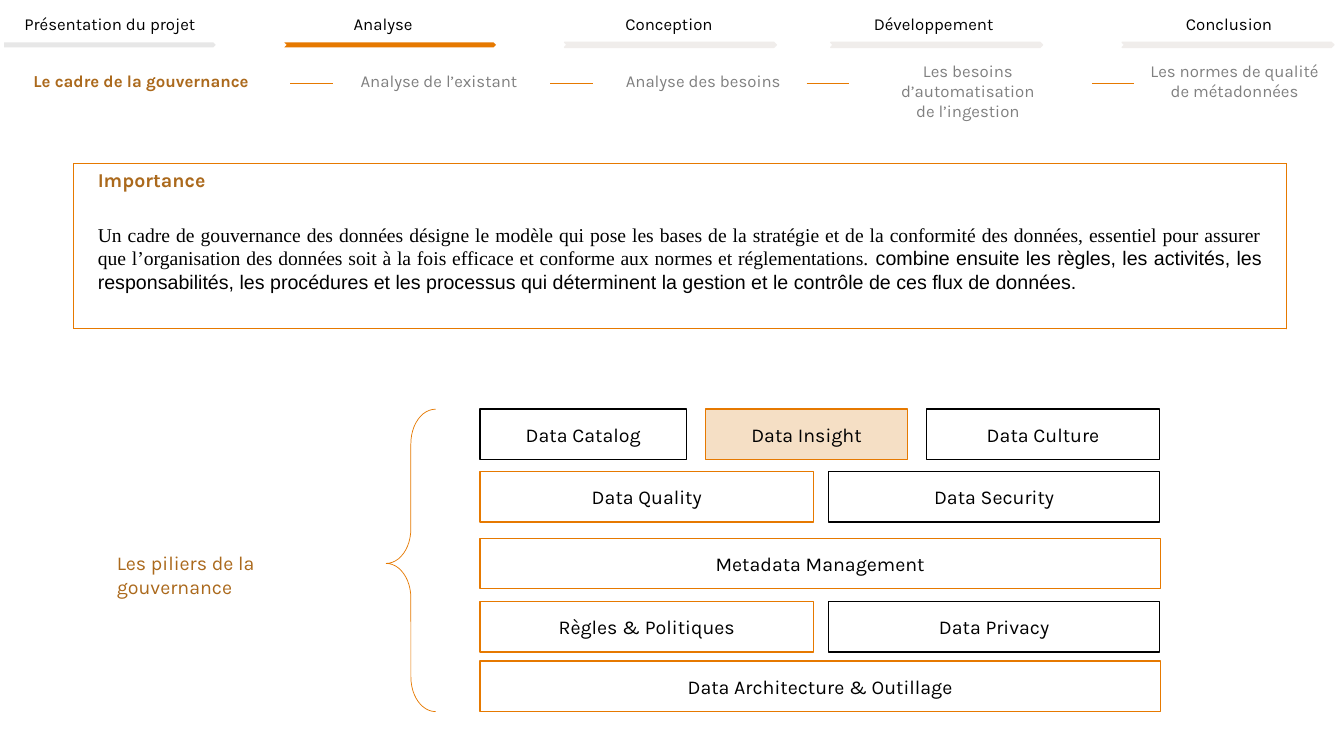
from dataclasses import dataclass

from lxml.etree import SubElement
from pptx import Presentation
from pptx.dml.color import RGBColor
from pptx.enum.dml import MSO_LINE
from pptx.enum.shapes import MSO_CONNECTOR, MSO_SHAPE
from pptx.enum.text import MSO_ANCHOR, MSO_AUTO_SIZE, PP_ALIGN
from pptx.oxml.ns import qn
from pptx.util import Inches, Pt


@dataclass(frozen=True)
class Theme:
    accent: str = "E67900"
    brown: str = "AB691C"
    tint: str = "F5DFC5"
    black: str = "000000"
    white: str = "FFFFFF"
    grey: str = "808080"
    past: str = "E7E7E7"
    coming: str = "F0EDEB"
    font: str = "Karla"
    small: int = 12
    normal: int = 14


THEME = Theme()

# label, label left, label width, bar left, bar shape, bar fill, bar line
TABS = [
    ("Présentation du projet", 0.1, 1.98, 0.04, MSO_SHAPE.PENTAGON, THEME.past, None),
    ("Analyse", 2.81, 1.98, 2.82, MSO_SHAPE.CHEVRON, THEME.accent, None),
    ("Conception", 5.39, 2.49, 5.6, MSO_SHAPE.CHEVRON, THEME.coming, THEME.coming),
    ("Développement", 8.3, 1.92, 8.24, MSO_SHAPE.CHEVRON, THEME.coming, THEME.coming),
    ("Conclusion", 11.2, 1.98, 11.13, MSO_SHAPE.CHEVRON, THEME.coming, THEME.coming),
]

# one-line steps: label, left, width; the first is the current one
STEPS = [
    ("Le cadre de la gouvernance", 0.1, 2.6),
    ("Analyse de l’existant", 3.16, 2.39),
    ("Analyse des besoins", 6, 1.95),
]
TALL_STEPS = [
    (["Les besoins d’automatisation", "de l’ingestion"], 8.41, 2.38),
    (["Les normes de qualité", "de métadonnées"], 11.25, 1.99),
]
STEP_LINKS = [2.88, 5.46, 8, 10.83]

IMPORTANCE = [
    ("Un cadre de gouvernance des données désigne le modèle qui pose les bases de la "
     "stratégie et de la conformité des données, essentiel pour assurer que "
     "l’organisation des données soit à la fois efficace et conforme aux normes et "
     "réglementations. ", "Times New Roman"),
    ("combine ensuite les règles, les activités, les responsabilités, les procédures "
     "et les processus qui déterminent la gestion et le contrôle de ces flux de "
     "données.", "Arial"),
]

# row top, then label, left, width, fill, line; all measured from the grid's corner
THIRDS = [(0, 2.05), (2.24, 2), (4.43, 2.31)]
HALVES = [(0, 3.31), (3.46, 3.28)]
WHOLE = [(0, 6.75)]
PILLARS = [
    (0, THIRDS, ["Data Catalog", "Data Insight", "Data Culture"]),
    (0.62, HALVES, ["Data Quality", "Data Security"]),
    (1.28, WHOLE, ["Metadata Management"]),
    (1.91, HALVES, ["Règles & Politiques", "Data Privacy"]),
    (2.5, WHOLE, ["Data Architecture & Outillage"]),
]
BLACK_OUTLINES = {"Data Catalog", "Data Culture", "Data Security", "Data Privacy"}
HIGHLIGHTED = "Data Insight"


def color(code):
    return RGBColor.from_string(code)


def style(font, size, code, bold=False, name=THEME.font):
    font.name, font.size, font.bold = name, Pt(size), bold
    font.color.rgb = color(code)


def add_box(page, kind, left, top, width, height, fill=None, line=None, weight=1):
    box = page.shapes.add_shape(kind, Inches(left), Inches(top), Inches(width), Inches(height))
    box.shadow.inherit = False
    if fill:
        box.fill.solid()
        box.fill.fore_color.rgb = color(fill)
    else:
        box.fill.background()
    if line:
        box.line.color.rgb = color(line)
        box.line.width = Pt(weight)
    else:
        box.line.fill.background()
    return box


def write(box, lines, size, code, bold=False, align=PP_ALIGN.CENTER, anchor=MSO_ANCHOR.MIDDLE):
    frame = box.text_frame
    frame.word_wrap = True
    frame.vertical_anchor = anchor
    frame.text = "\n".join(lines)
    for para in frame.paragraphs:
        para.alignment = align
        style(para.font, size, code, bold)


def add_label(page, left, top, width, height, lines, size, code, align=PP_ALIGN.CENTER):
    box = page.shapes.add_textbox(Inches(left), Inches(top), Inches(width), Inches(height))
    write(box, lines, size, code, align=align, anchor=MSO_ANCHOR.TOP)
    box.text_frame.auto_size = MSO_AUTO_SIZE.SHAPE_TO_FIT_TEXT


def add_rule(page, left, top, width):
    rule = page.shapes.add_connector(
        MSO_CONNECTOR.STRAIGHT, Inches(left), Inches(top), Inches(left + width), Inches(top))
    rule.line.color.rgb = color(THEME.accent)
    rule.line.width = Pt(0.5)
    SubElement(rule._element.spPr, qn("a:effectLst"))


def draw_tabs(page, top):
    for label, left, width, bar_left, kind, fill, line in TABS:
        add_box(page, kind, bar_left, top + 0.33, 2.1, 0.05, fill, line)
        add_label(page, left, top, width, 0.3, [label], THEME.small, THEME.black)


def draw_steps(page, middle):
    height = 0.26
    for index, (label, left, width) in enumerate(STEPS):
        current = index == 0
        box = add_box(page, MSO_SHAPE.ROUNDED_RECTANGLE, left, middle - height / 2, width, height)
        write(box, [label], THEME.small, THEME.brown if current else THEME.grey, current)
    for lines, left, width in TALL_STEPS:
        add_label(page, left, middle - 0.25, width, 0.5, lines, THEME.small, THEME.grey)
    for left in STEP_LINKS:
        add_rule(page, left, middle + 0.03, 0.42)


def draw_importance(page, left, top, width, height):
    box = add_box(page, MSO_SHAPE.RIGHT_ARROW_CALLOUT, left, top, width, height,
                  line=THEME.accent, weight=0.25)
    box.line.dash_style = MSO_LINE.ROUND_DOT
    for index, value in enumerate([1, 0.5, 0, 1]):
        box.adjustments[index] = value
    write(box, ["Importance"], THEME.normal, THEME.brown, True, PP_ALIGN.JUSTIFY, MSO_ANCHOR.TOP)
    frame = box.text_frame
    frame.margin_left = frame.margin_right = Inches(0.24)
    frame.paragraphs[0].space_after = Pt(22)
    para = frame.add_paragraph()
    para.alignment = PP_ALIGN.JUSTIFY
    for text, font_name in IMPORTANCE:
        span = para.add_run()
        span.text = text
        style(span.font, THEME.normal, THEME.black, name=font_name)


def draw_pillars(page, left, top, height):
    add_label(page, 1.06, top + 1.36, 2.75, 0.34, ["Les piliers de la gouvernance"],
              THEME.normal, THEME.brown, PP_ALIGN.LEFT)
    brace = add_box(page, MSO_SHAPE.LEFT_BRACE, left - 0.93, top, 0.49, height,
                    line=THEME.accent, weight=0.5)
    brace.adjustments[0], brace.adjustments[1] = 0.7, 0.51
    for row_top, columns, labels in PILLARS:
        for (offset, width), label in zip(columns, labels):
            fill = THEME.tint if label == HIGHLIGHTED else THEME.white
            line = THEME.black if label in BLACK_OUTLINES else THEME.accent
            box = add_box(page, MSO_SHAPE.RECTANGLE, left + offset, top + row_top,
                          width, height / 6, fill, line)
            write(box, [label], THEME.normal, THEME.black)


def main():
    deck = Presentation()
    deck.slide_width, deck.slide_height = Inches(13.33), Inches(7.5)
    page = deck.slides.add_slide(deck.slide_layouts[6])
    draw_tabs(page, 0.09)
    draw_steps(page, 0.8)
    draw_importance(page, 0.73, 1.62, 12.03, 1.64)
    draw_pillars(page, 4.76, 4.06, 3)
    deck.save("out.pptx")


if __name__ == "__main__":
    main()
